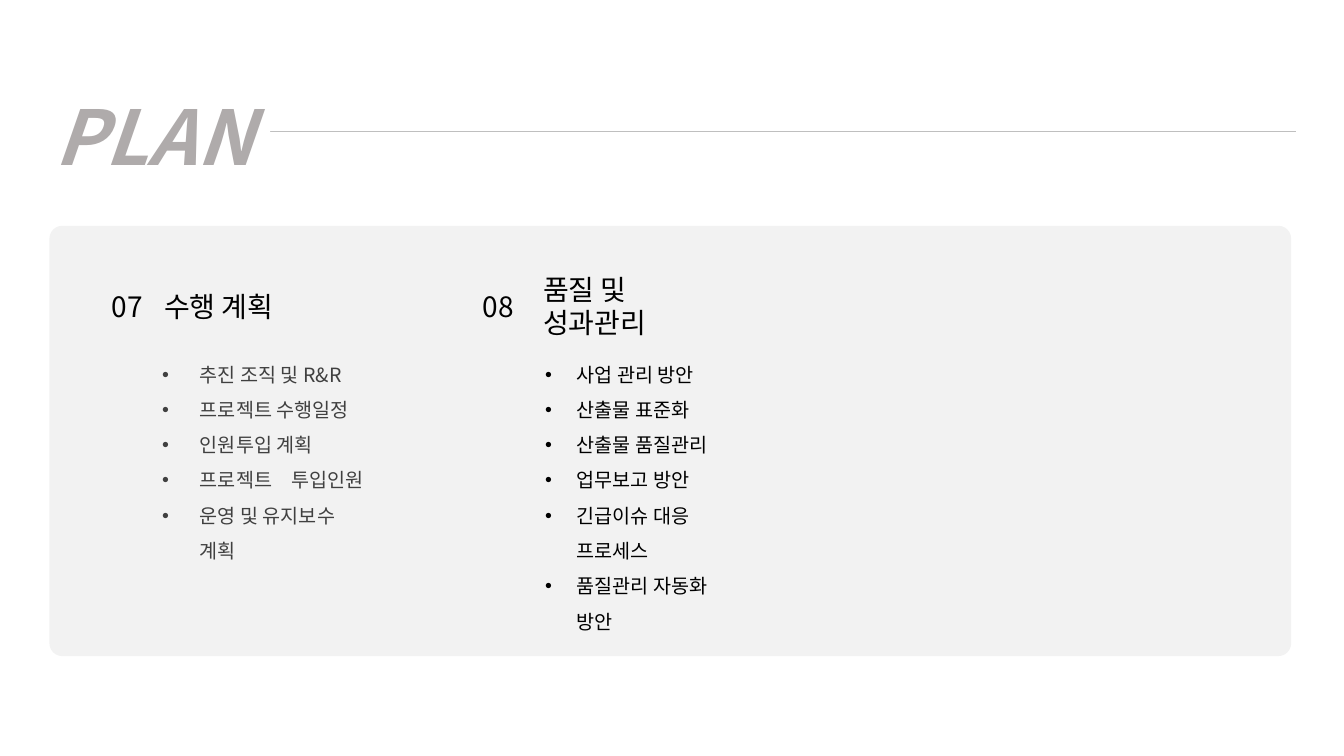
import pptx
import pptx.dml.color
import pptx.enum.shapes
import pptx.enum.text
import pptx.oxml.ns
import pptx.util
from lxml import etree

Pt = pptx.util.Pt
FONT = "Noto Sans CJK KR"
WHITE = pptx.dml.color.RGBColor(0xFF, 0xFF, 0xFF)
BLACK = pptx.dml.color.RGBColor(0x00, 0x00, 0x00)
DARK_GRAY = pptx.dml.color.RGBColor(0x40, 0x40, 0x40)
TITLE_GRAY = pptx.dml.color.RGBColor(0xAF, 0xAB, 0xAB)
LINE_GRAY = pptx.dml.color.RGBColor(0xBF, 0xBF, 0xBF)
PANEL_GRAY = pptx.dml.color.RGBColor(0xF2, 0xF2, 0xF2)
MIDDLE = pptx.enum.text.MSO_ANCHOR.MIDDLE
TOP = pptx.enum.text.MSO_ANCHOR.TOP

SECTIONS = [
    {
        "number": "07", "heading": "수행 계획",
        "left": 72.7, "heading_offset": 37.4, "heading_width": 167.8,
        "list_offset": 36, "list_width": 169.9, "indent": 27, "color": DARK_GRAY,
        "items": ["추진 조직 및 R&R", "프로젝트 수행일정", "인원투입 계획",
                  "프로젝트　투입인원", "운영 및 유지보수　계획"],
    },
    {
        "number": "08", "heading": "품질 및 성과관리",
        "left": 337.7, "heading_offset": 43.2, "heading_width": 133.9,
        "list_offset": 44.6, "list_width": 151.2, "indent": 22.5, "color": BLACK,
        "items": ["사업 관리 방안", "산출물 표준화", "산출물 품질관리", "업무보고 방안",
                  "긴급이슈 대응 프로세스", "품질관리 자동화 방안"],
    },
]


def add_span(para, text, size, color, bold=False, italic=False):
    span = para.add_run()
    span.text = text
    font = span.font
    font.name = FONT
    font.size = Pt(size)
    font.bold = bold
    font.italic = italic
    font.color.rgb = color
    east_asian = etree.SubElement(font._element, pptx.oxml.ns.qn("a:ea"))
    east_asian.set("typeface", FONT)


def add_bullet(para, indent):
    properties = para._p.get_or_add_pPr()
    properties.set("marL", str(Pt(indent)))
    properties.set("indent", str(-Pt(indent)))
    bullet_font = etree.SubElement(properties, pptx.oxml.ns.qn("a:buFont"))
    bullet_font.set("typeface", "Arial")
    bullet = etree.SubElement(properties, pptx.oxml.ns.qn("a:buChar"))
    bullet.set("char", "•")
    para.line_spacing = 1.5


def add_text_box(page, left, top, width, height, anchor):
    box = page.shapes.add_textbox(Pt(left), Pt(top), Pt(width), Pt(height))
    box.text_frame.word_wrap = True
    box.text_frame.vertical_anchor = anchor
    return box.text_frame


def add_filled_shape(page, kind, left, top, width, height, color):
    shape = page.shapes.add_shape(kind, Pt(left), Pt(top), Pt(width), Pt(height))
    shape.shadow.inherit = False
    shape.fill.solid()
    shape.fill.fore_color.rgb = color
    shape.line.fill.background()
    return shape


def add_panel(page, left, top, width, height):
    panel = add_filled_shape(page, pptx.enum.shapes.MSO_SHAPE.ROUNDED_RECTANGLE,
                             left, top, width, height, PANEL_GRAY)
    panel.adjustments[0] = 0.03


def add_header(page, left, top, width, height):
    rule_top = top + 16.6
    rule = page.shapes.add_connector(pptx.enum.shapes.MSO_CONNECTOR.STRAIGHT,
                                     Pt(left + 141.8), Pt(rule_top),
                                     Pt(left + width), Pt(rule_top))
    rule.line.color.rgb = LINE_GRAY
    rule.line.width = Pt(0.75)
    etree.SubElement(rule._element.spPr, pptx.oxml.ns.qn("a:effectLst"))
    title = add_filled_shape(page, pptx.enum.shapes.MSO_SHAPE.RECTANGLE,
                             left, top, 161.3, height, WHITE)
    title.text_frame.word_wrap = True
    title.text_frame.vertical_anchor = MIDDLE
    para = title.text_frame.paragraphs[0]
    para.alignment = pptx.enum.text.PP_ALIGN.LEFT
    add_span(para, "PLAN", 54, TITLE_GRAY, bold=True, italic=True)


def add_section(page, section, top):
    left = section["left"]
    number = add_text_box(page, left, top, 46, 39.6, MIDDLE)
    add_span(number.paragraphs[0], section["number"], 20, BLACK)
    heading = add_text_box(page, left + section["heading_offset"], top,
                           section["heading_width"], 39.6, MIDDLE)
    add_span(heading.paragraphs[0], section["heading"], 20, BLACK)
    items = add_text_box(page, left + section["list_offset"], top + 48.3,
                         section["list_width"], 157, TOP)
    for index, item in enumerate(section["items"]):
        para = items.add_paragraph() if index else items.paragraphs[0]
        add_bullet(para, section["indent"])
        add_span(para, item, 14, section["color"])


def main():
    deck = pptx.Presentation()
    deck.slide_width = Pt(960)
    deck.slide_height = Pt(540)
    page = deck.slides.add_slide(deck.slide_layouts[6])
    add_panel(page, 35.3, 161.3, 887, 307.4)
    add_header(page, 31.7, 77, 894.2, 39.6)
    for section in SECTIONS:
        add_section(page, section, 198.7)
    deck.save("out.pptx")


if __name__ == "__main__":
    main()
